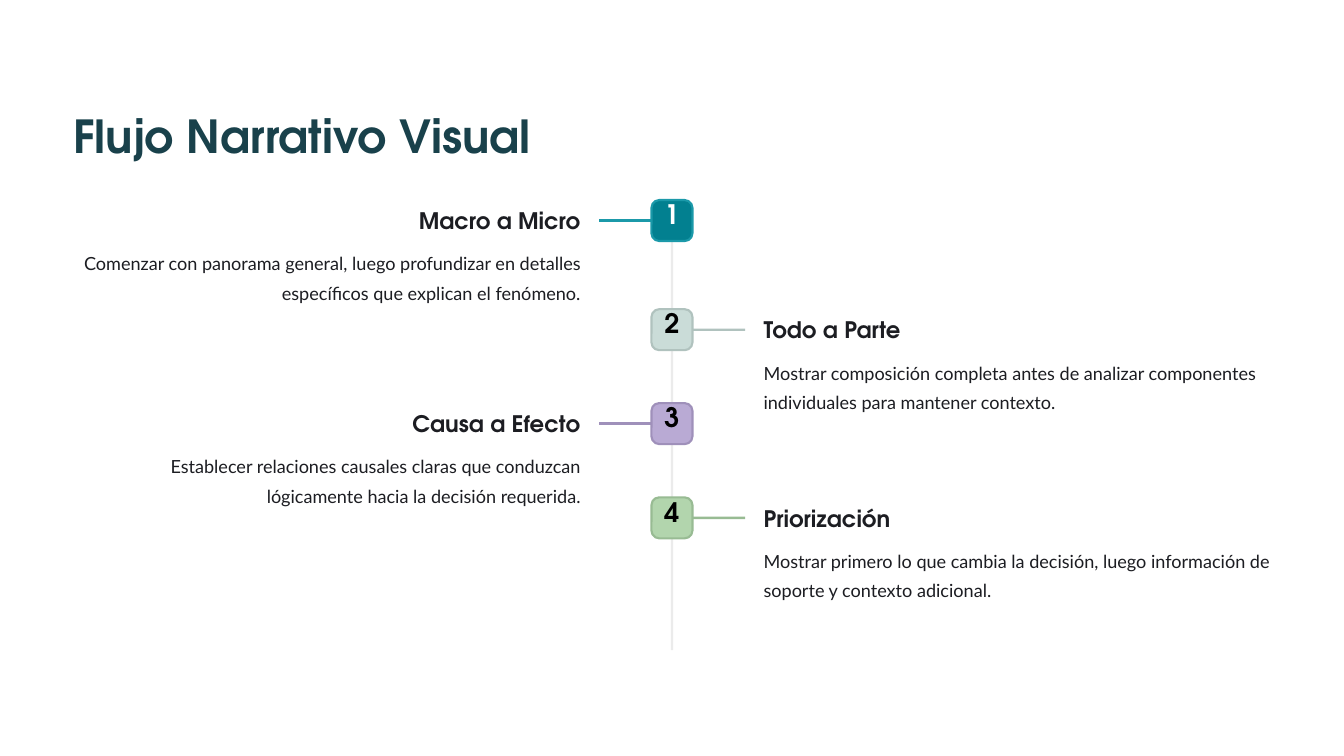
from dataclasses import dataclass

from pptx import Presentation
from pptx.dml.color import RGBColor
from pptx.enum.shapes import MSO_CONNECTOR as Line, MSO_SHAPE as Preset
from pptx.enum.text import MSO_ANCHOR as Anchor, PP_ALIGN as Align
from pptx.oxml.ns import qn
from pptx.util import Cm, Pt
from lxml.etree import SubElement

DISPLAY, BODY = "TeX Gyre Adventor", "Lato"
TEAL_DARK = RGBColor(0x19, 0x41, 0x4B)
INK = RGBColor(0x1C, 0x1D, 0x22)
WHITE = RGBColor(0xFF, 0xFF, 0xFF)
BLACK = RGBColor(0, 0, 0)
TEAL, TEAL_EDGE = RGBColor(0x02, 0x80, 0x90), RGBColor(0x1B, 0x99, 0xA9)
MIST, MIST_EDGE = RGBColor(0xCA, 0xDC, 0xD8), RGBColor(0xB0, 0xC2, 0xBE)
LILAC, LILAC_EDGE = RGBColor(0xB9, 0xAA, 0xD4), RGBColor(0x9F, 0x90, 0xBA)
GREEN, GREEN_EDGE = RGBColor(0xB2, 0xD5, 0xAD), RGBColor(0x98, 0xBB, 0x93)

# Timeline geometry in centimetres
AXIS_X, AXIS_TOP, AXIS_BOTTOM = 20.32, 6.05, 19.66
BADGE = 1.24
BRANCH_REACH, TEXT_REACH = 2.21, 2.77
HEADING_W, DETAIL_W = 6.88, 15.37


@dataclass(frozen=True)
class Style:
    font: str
    size: float
    color: RGBColor
    spacing: float
    bold: bool = True


TITLE = Style(DISPLAY, 39, TEAL_DARK, 48.5)
HEADING = Style(DISPLAY, 19.5, INK, 24)
DETAIL = Style(BODY, 15.5, INK, 25, bold=False)


@dataclass(frozen=True)
class Step:
    top: float
    heading: str
    detail: str
    fill: RGBColor
    edge: RGBColor
    number_color: RGBColor = BLACK


STEPS = [
    Step(6.05, "Macro a Micro",
         "Comenzar con panorama general, luego profundizar en detalles "
         "específicos que explican el fenómeno.", TEAL, TEAL_EDGE, WHITE),
    Step(9.35, "Todo a Parte",
         "Mostrar composición completa antes de analizar componentes "
         "individuales para mantener contexto.", MIST, MIST_EDGE),
    Step(12.19, "Causa a Efecto",
         "Establecer relaciones causales claras que conduzcan "
         "lógicamente hacia la decisión requerida.", LILAC, LILAC_EDGE),
    Step(15.04, "Priorización",
         "Mostrar primero lo que cambia la decisión, luego información de "
         "soporte y contexto adicional.", GREEN, GREEN_EDGE),
]


def write(frame, text: str, style: Style, align: Align) -> None:
    frame.word_wrap = True
    frame.vertical_anchor = Anchor.TOP
    frame.margin_left = frame.margin_right = frame.margin_top = frame.margin_bottom = 0
    paragraph = frame.paragraphs[0]
    paragraph.alignment = align
    paragraph.line_spacing = Pt(style.spacing)
    run = paragraph.add_run()
    run.text = text
    run.font.name = style.font
    run.font.size = Pt(style.size)
    run.font.bold = style.bold
    run.font.color.rgb = style.color


def add_text(slide, left: float, top: float, width: float, height: float,
             text: str, style: Style, align: Align = Align.LEFT) -> None:
    box = slide.shapes.add_textbox(Cm(left), Cm(top), Cm(width), Cm(height))
    write(box.text_frame, text, style, align)


def add_line(slide, x1: float, y1: float, x2: float, y2: float, color: RGBColor):
    line = slide.shapes.add_connector(Line.STRAIGHT, Cm(x1), Cm(y1), Cm(x2), Cm(y2))
    line.line.color.rgb = color
    line.line.width = Pt(2)
    SubElement(line._element.spPr, qn("a:effectLst"))
    return line


def add_axis(slide) -> None:
    axis = add_line(slide, AXIS_X, AXIS_TOP, AXIS_X, AXIS_BOTTOM, BLACK)
    color = axis._element.spPr.find(".//" + qn("a:srgbClr"))
    SubElement(color, qn("a:alpha")).set("val", "8000")


def add_badge(slide, number: int, step: Step):
    badge = slide.shapes.add_shape(Preset.ROUNDED_RECTANGLE, Cm(AXIS_X - BADGE / 2),
                                   Cm(step.top), Cm(BADGE), Cm(BADGE))
    badge.adjustments[0] = 0.19
    badge.shadow.inherit = False
    badge.fill.solid()
    badge.fill.fore_color.rgb = step.fill
    badge.line.color.rgb = step.edge
    badge.line.width = Pt(1.8)
    write(badge.text_frame, str(number), Style(DISPLAY, 23, step.number_color, 23),
          Align.CENTER)
    badge.text_frame.margin_top = Cm(0.03)
    return badge


def add_step(slide, number: int, step: Step) -> None:
    on_left = number % 2 == 1
    side = -1 if on_left else 1
    align = Align.RIGHT if on_left else Align.LEFT
    badge = add_badge(slide, number, step)

    # Branch from the badge towards its text
    middle = step.top + BADGE / 2
    branch = add_line(slide, AXIS_X + side * BADGE / 2, middle,
                      AXIS_X + side * BRANCH_REACH, middle, step.edge)
    branch.begin_connect(badge, 1 if on_left else 3)

    # Heading and detail
    edge = AXIS_X + side * TEXT_REACH
    for text, style, drop, width, height in (
            (step.heading, HEADING, 0.19, HEADING_W, 0.86),
            (step.detail, DETAIL, 1.37, DETAIL_W, 1.75)):
        left = edge - width if on_left else edge
        add_text(slide, left, step.top + drop, width, height, text, style, align)


def main() -> None:
    deck = Presentation()
    deck.slide_width, deck.slide_height = Cm(40.64), Cm(22.86)
    slide = deck.slides.add_slide(deck.slide_layouts[6])
    add_text(slide, 2.21, 3.2, 14.4, 1.73, "Flujo Narrativo Visual", TITLE)
    add_axis(slide)
    for number, step in enumerate(STEPS, start=1):
        add_step(slide, number, step)
    deck.save("out.pptx")


if __name__ == "__main__":
    main()
